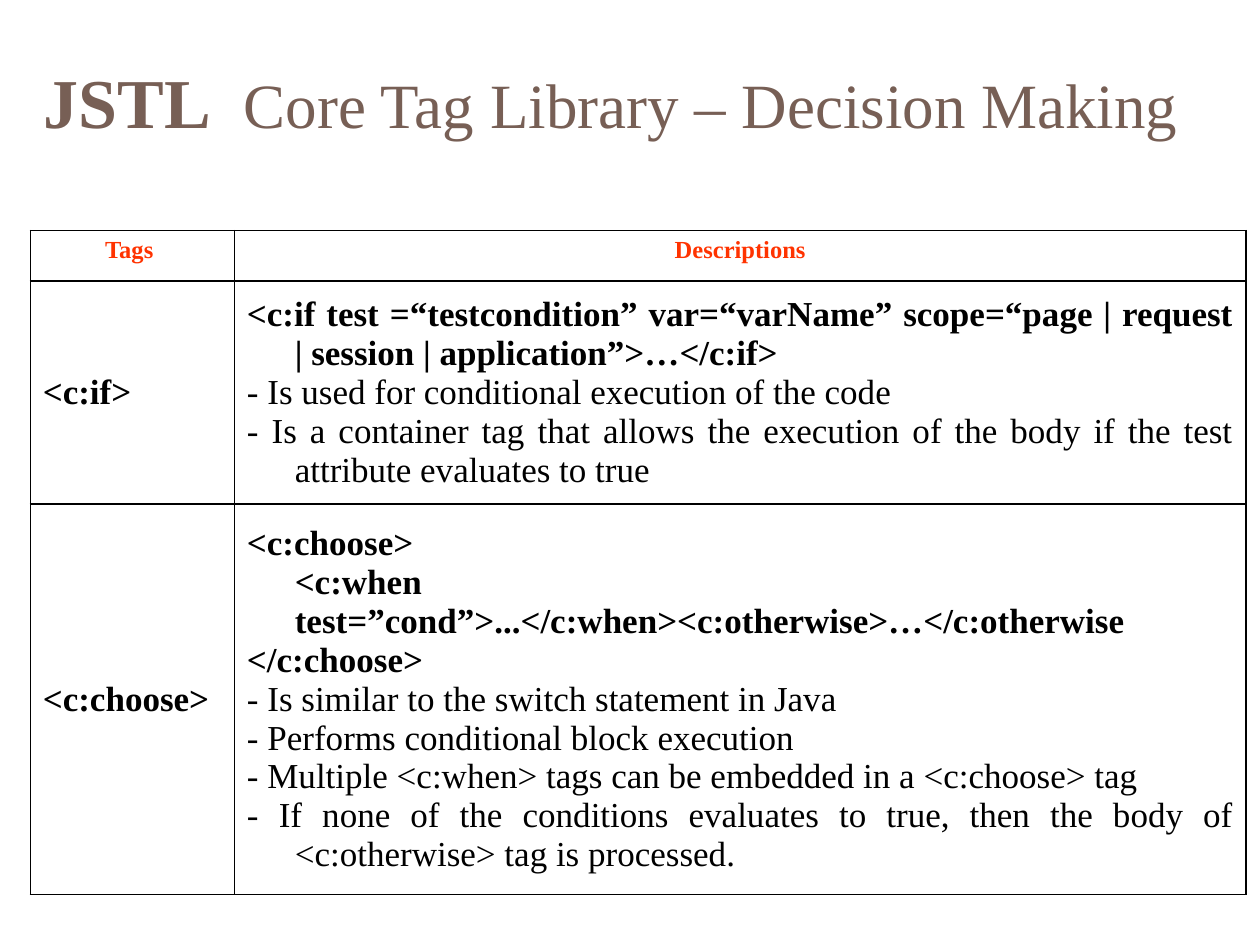
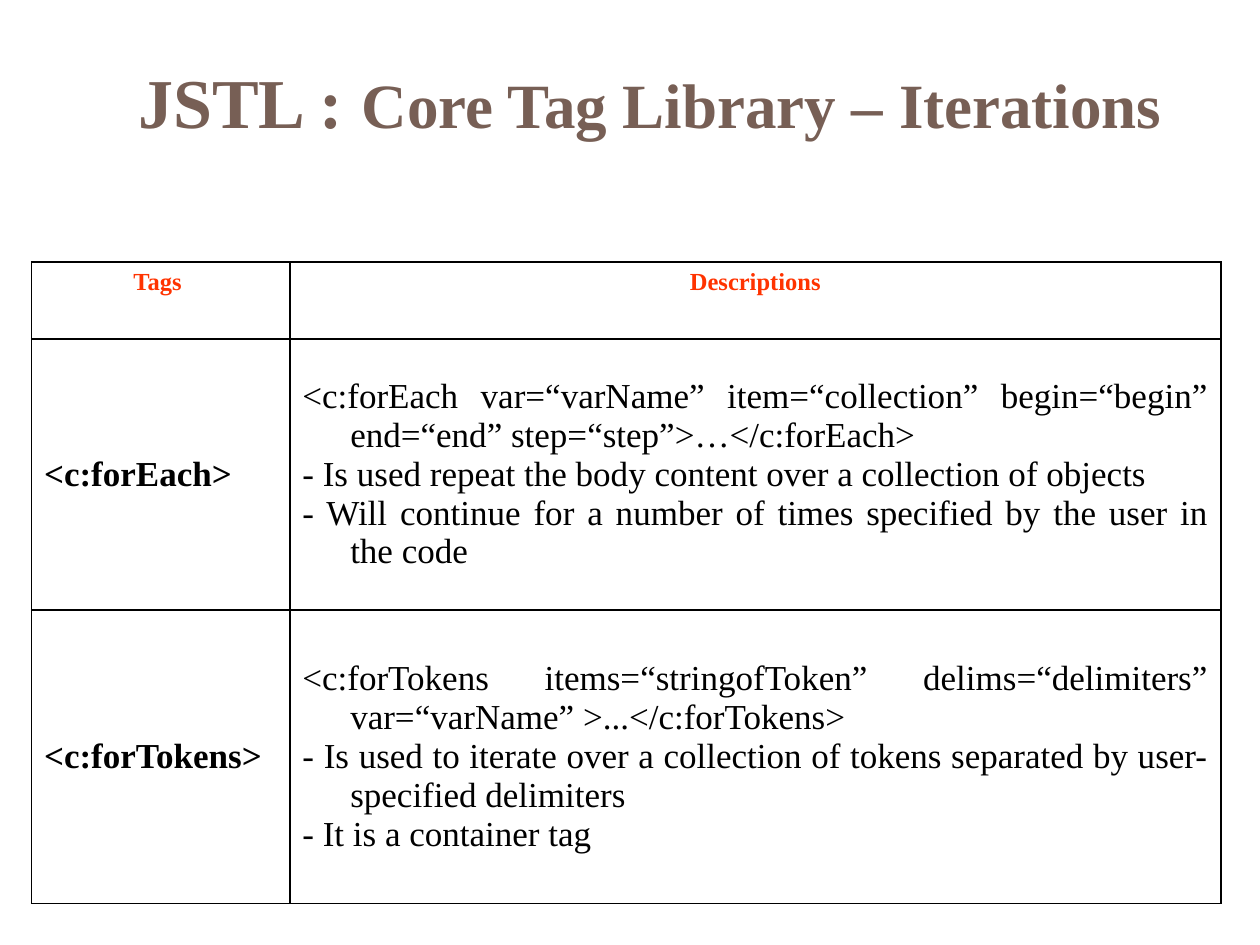
from lxml.etree import SubElement
from pptx import Presentation
from pptx.dml.color import RGBColor
from pptx.enum.text import MSO_ANCHOR, PP_ALIGN
from pptx.oxml.ns import qn
from pptx.util import Inches, Pt

BROWN = RGBColor(0x77, 0x5F, 0x55)
ORANGE = RGBColor(0xFF, 0x33, 0x00)
BLACK = RGBColor(0, 0, 0)
FONT = "Times New Roman"
GRID_COLUMNS, GRID_ROWS = 100, 75
HEADINGS = ("Tags ", "Descriptions")


class TagDeck:
    def __init__(self):
        self.deck = Presentation()
        self.deck.slide_width = Inches(10)
        self.deck.slide_height = Inches(7.5)
        self.slide = None

    def x(self, columns):
        return round(self.deck.slide_width * columns / GRID_COLUMNS)

    def y(self, rows):
        return round(self.deck.slide_height * rows / GRID_ROWS)

    def new_slide(self):
        self.slide = self.deck.slides.add_slide(self.deck.slide_layouts[6])

    def add_run(self, paragraph, text, size, color, bold):
        for number, line in enumerate(text.split("\n")):
            if number:
                paragraph.add_line_break()
            run = paragraph.add_run()
            run.text = line
            run.font.name = FONT
            run.font.size = Pt(size)
            run.font.bold = bold
            run.font.color.rgb = color

    def title(self, left, width, prefix, subject, subject_bold):
        box = self.slide.shapes.add_textbox(self.x(left), 0, self.x(width), self.y(15.5))
        frame = box.text_frame
        frame.word_wrap = True
        frame.vertical_anchor = MSO_ANCHOR.MIDDLE
        heading = frame.paragraphs[0]
        self.add_run(heading, prefix, 40, BROWN, True)
        self.add_run(heading, " ", 44, BROWN, True)
        self.add_run(heading, subject, 36, BROWN, subject_bold)

    def border(self, cell):
        properties = cell._tc.get_or_add_tcPr()
        for side in ("a:lnL", "a:lnR", "a:lnT", "a:lnB"):
            line = SubElement(properties, qn(side), w=str(Pt(1)))
            fill = SubElement(line, qn("a:solidFill"))
            SubElement(fill, qn("a:srgbClr"), val=str(BLACK))

    def cell(self, cell, entries, align, anchor, size=20, color=BLACK):
        self.border(cell)
        cell.fill.background()
        cell.vertical_anchor = anchor
        frame = cell.text_frame
        for number, (text, bold) in enumerate(entries):
            paragraph = frame.add_paragraph() if number else frame.paragraphs[0]
            paragraph.alignment = align
            properties = paragraph._p.get_or_add_pPr()
            properties.set("marL", str(Inches(0.38)))
            properties.set("indent", str(Inches(-0.38)))
            self.add_run(paragraph, text, size, color, bold)

    def tag_table(self, left, top, widths, heights, tags):
        table = self.slide.shapes.add_table(
            len(heights), len(widths), self.x(left), self.y(top),
            self.x(sum(widths)), self.y(sum(heights))).table
        table.first_row = table.horz_banding = False
        for column, width in zip(table.columns, widths):
            column.width = self.x(width)
        for row, height in zip(table.rows, heights):
            row.height = self.y(height)
        for column, heading in enumerate(HEADINGS):
            self.cell(table.cell(0, column), [(heading, True)],
                      PP_ALIGN.CENTER, MSO_ANCHOR.TOP, 14, ORANGE)
        for row, (tag, description) in enumerate(tags, 1):
            self.cell(table.cell(row, 0), [(tag, True)], PP_ALIGN.LEFT, MSO_ANCHOR.MIDDLE)
            self.cell(table.cell(row, 1), description, PP_ALIGN.JUSTIFY, MSO_ANCHOR.MIDDLE)


DECISION_TAGS = [
    ("<c:if>", [
        ("<c:if test =“testcondition” var=“varName” scope=“page | request | session"
         " | application”>…</c:if>", True),
        ("- Is used for conditional execution of the code", False),
        ("- Is a container tag that allows the execution of the body if the test"
         " attribute evaluates to true", False),
    ]),
    ("<c:choose>", [
        ("<c:choose>\n<c:when test=”cond”>...</c:when><c:otherwise>…</c:otherwise", True),
        ("</c:choose>", True),
        ("- Is similar to the switch statement in Java", False),
        ("- Performs conditional block execution", False),
        ("- Multiple <c:when> tags can be embedded in a <c:choose> tag", False),
        ("- If none of the conditions evaluates to true, then the body of"
         " <c:otherwise> tag is processed.", False),
    ]),
]

ITERATION_TAGS = [
    ("<c:forEach>", [
        ("<c:forEach var=“varName” item=“collection” begin=“begin” end=“end”"
         " step=“step”>…</c:forEach>", False),
        ("- Is used repeat the body content over a collection of objects", False),
        ("- Will continue for a number of times specified by the user in the code", False),
    ]),
    ("<c:forTokens>", [
        ("<c:forTokens items=“stringofToken” delims=“delimiters” var=“varName”"
         " >...</c:forTokens>", False),
        ("- Is used to iterate over a collection of tokens separated by"
         " user-specified delimiters", False),
        ("- It is a container tag", False),
    ]),
]


def main():
    jstl = TagDeck()

    jstl.new_slide()
    jstl.title(2.5, 97.5, "JSTL ", "Core Tag Library – Decision Making", False)
    jstl.tag_table(2.4, 18.3, (16.2, 80.3), (4, 17.7, 28.8), DECISION_TAGS)

    jstl.new_slide()
    jstl.title(10, 90, "JSTL :", "Core Tag Library – Iterations", True)
    jstl.tag_table(2.5, 20.8, (20.5, 73.9), (6.1, 21.5, 23.3), ITERATION_TAGS)

    jstl.deck.save("out.pptx")


if __name__ == "__main__":
    main()
